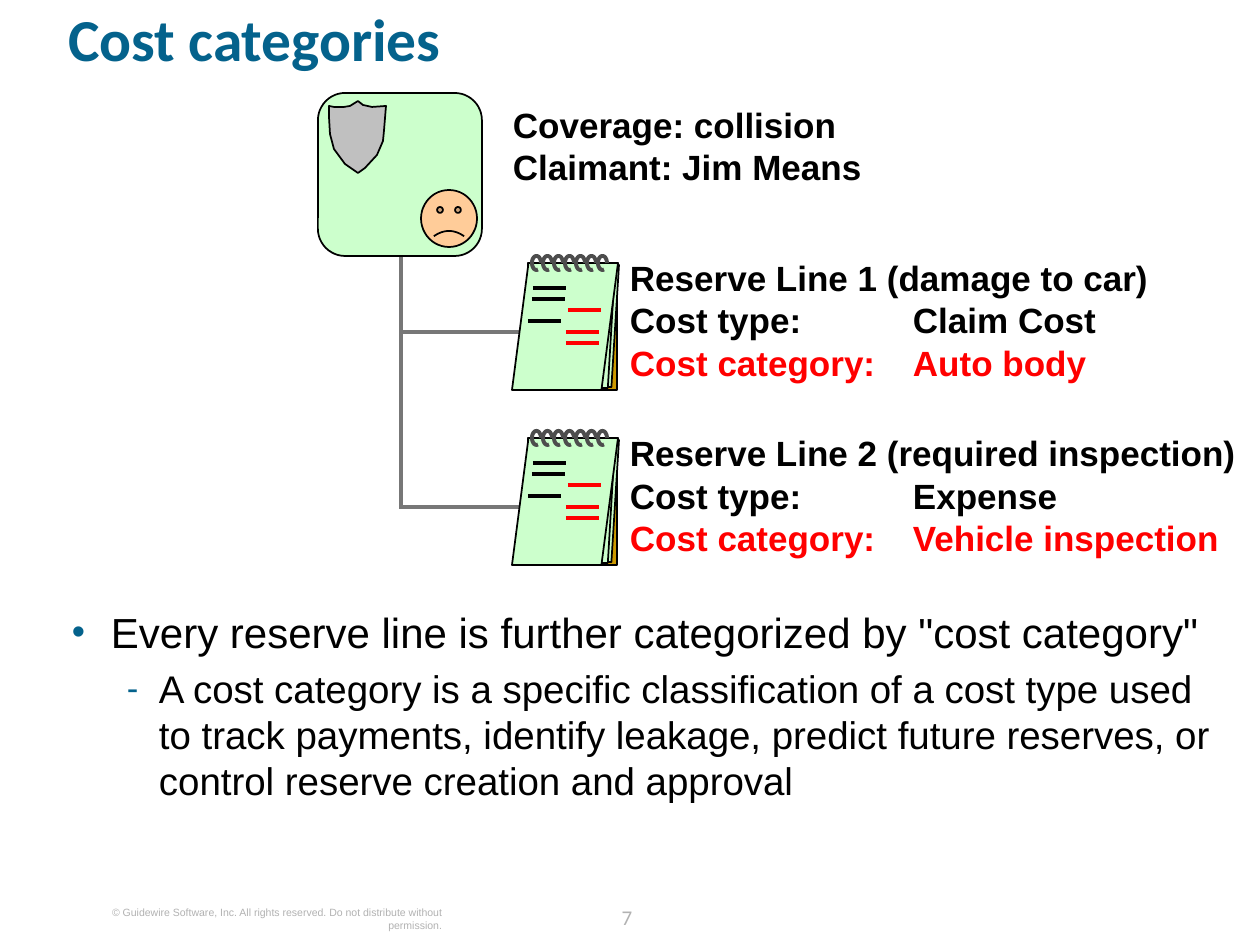
"""Build the cost categories slide."""
import math

import lxml.etree
import pptx
import pptx.dml.color
import pptx.enum.shapes
import pptx.enum.text
import pptx.oxml.ns
import pptx.util

SCALE = 914400 / 126
BLACK, RED, BLUE, GREY = "000000", "FF0000", "04628C", "B2B2B2"
GREEN, GOLD, SILVER, SKIN = "CCFFCC", "CC9900", "C0C0C0", "FFCC99"
TREE, WIRE = "777777", "4D4D4D"
PRESET = pptx.enum.shapes.MSO_SHAPE
ALIGN = pptx.enum.text.PP_ALIGN
LABEL = {"name": "Arial", "size": pptx.util.Pt(20), "bold": True}
TAB = 283
SHIELD = [(40, 80), (27, 71), (16, 56), (12, 41), (11, 24), (11, 13),
          (16, 14), (26, 14), (32, 13), (40, 8), (45, 12), (54, 14),
          (68, 13), (66, 38), (65, 48), (59, 62), (47, 75)]


def px(length):
    """Turn px into EMU."""
    return pptx.util.Emu(round(length * SCALE))


def rgb(value):
    """Turn a hex string into a colour."""
    return pptx.dml.color.RGBColor.from_string(value)


def assign(target, values):
    """Set each attribute named in a dict of format values."""
    for name, value in values.items():
        setattr(target, name, value)


def child(parent, tag, **attributes):
    """Append a drawing element to its parent."""
    element = lxml.etree.SubElement(parent, pptx.oxml.ns.qn(tag))
    for name, value in attributes.items():
        element.set(name, str(value))
    return element


def outline(part, color, width):
    """Give a part its line colour and width."""
    part.line.color.rgb = rgb(color)
    part.line.width = pptx.util.Pt(width)


def paint(part, fill, color=BLACK, width=1):
    """Give a shape its fill and outline without a shadow."""
    part.shadow.inherit = False
    if fill:
        part.fill.solid()
        part.fill.fore_color.rgb = rgb(fill)
    else:
        part.fill.background()
    outline(part, color, width)


def add_preset(shapes, preset, box, fill, bend=None):
    """Add a filled preset shape."""
    part = shapes.add_shape(preset, *map(px, box))
    if bend is not None:
        part.adjustments[0] = bend
    paint(part, fill)


def add_path(shapes, points, close, fill, color=BLACK, width=1):
    """Add an outline through px points."""
    corners = [(px(x), px(y)) for x, y in points]
    builder = shapes.build_freeform(*corners[0], scale=1.0)
    builder.add_line_segments(corners[1:], close=close)
    paint(builder.convert_to_shape(), fill, color, width)


def add_stroke(shapes, start, end, color):
    """Add a straight line without a shadow."""
    stroke = shapes.add_connector(pptx.enum.shapes.MSO_CONNECTOR.STRAIGHT,
                                  *map(px, start + end))
    outline(stroke, color, 2.25)
    child(stroke._element.spPr, "a:effectLst")


def set_frame(holder):
    """Clear the margins, wrap and anchor the text at the top."""
    frame = holder.text_frame
    margins = dict.fromkeys(("margin_left", "margin_top", "margin_right", "margin_bottom"), 0)
    assign(frame, {**margins, "word_wrap": True,
                   "auto_size": pptx.enum.text.MSO_AUTO_SIZE.NONE,
                   "vertical_anchor": pptx.enum.text.MSO_ANCHOR.TOP})
    return frame


def add_run(paragraph, text, color, font):
    """Add a formatted run."""
    run = paragraph.add_run()
    run.text = text
    assign(run.font, font)
    run.font.color.rgb = rgb(color)


def add_text(slide, box, lines, font, layout=None):
    """Add a text box of coloured lines with one tab stop."""
    paragraph = set_frame(slide.shapes.add_textbox(*map(px, box))).paragraphs[0]
    stops = child(paragraph._p.get_or_add_pPr(), "a:tabLst")
    child(stops, "a:tab", pos=px(TAB), algn="l")
    assign(paragraph, layout or {})
    for index, (text, color) in enumerate(lines):
        if index:
            paragraph.add_line_break()
        add_run(paragraph, text, color, font)


def place(holder, box):
    """Move a placeholder into its box."""
    assign(holder, dict(zip(("left", "top", "width", "height"), map(px, box))))
    return set_frame(holder)


def fill_title(holder, box):
    """Write the slide title."""
    paragraph = place(holder, box).paragraphs[0]
    assign(paragraph, {"alignment": ALIGN.LEFT, "line_spacing": 0.8})
    add_run(paragraph, "Cost categories", BLUE,
            {"name": "Calibri", "size": pptx.util.Pt(34), "bold": True})


def fill_body(holder, box):
    """Write the two-level list."""
    frame = place(holder, box)
    points = [
        ("Every reserve line is further categorized by \"cost category\"", "•", 39, 39, 24, 0),
        ("A cost category is a specific classification of a cost type used to track "
         "payments, identify leakage, predict future reserves, or control reserve "
         "creation and approval", "-", 87, 32, 22, 5)]
    for level, (text, mark, margin, hang, size, before) in enumerate(points):
        paragraph = frame.add_paragraph() if level else frame.paragraphs[0]
        properties = paragraph._p.get_or_add_pPr()
        properties.set("marL", str(px(margin)))
        properties.set("indent", str(-px(hang)))
        child(child(properties, "a:buClr"), "a:srgbClr", val=BLUE)
        child(properties, "a:buSzPct", val=90000)
        child(properties, "a:buFont", typeface="Arial")
        child(properties, "a:buChar", char=mark)
        assign(paragraph, {"level": level, "space_before": pptx.util.Pt(before)})
        add_run(paragraph, text, BLACK, {"name": "Arial", "size": pptx.util.Pt(size)})


def add_tree(slide, left, top, branches):
    """Join the exposure to its reserve lines."""
    add_stroke(slide.shapes, (left, branches[-1] + 2), (left, top), TREE)
    for level in branches:
        add_stroke(slide.shapes, (left + 158, level), (left, level), TREE)


def add_exposure(slide, left, top):
    """Draw the exposure with its shield and claimant."""
    shapes = slide.shapes.add_group_shape().shapes
    add_preset(shapes, PRESET.ROUNDED_RECTANGLE, (left, top, 164, 163), GREEN, 0.167)
    add_path(shapes, [(left + x, top + y) for x, y in SHIELD], True, SILVER)
    add_preset(shapes, PRESET.SMILEY_FACE, (left + 103, top + 97, 56, 57), SKIN, -0.047)
    add_text(slide, (left + 195, top + 10, 481, 84),
             [("Coverage: collision", BLACK), ("Claimant: Jim Means", BLACK)], LABEL)


def add_reserve_line(slide, left, top, heading, cost_type, category):
    """Draw a notepad with its reserve line text."""
    shapes = slide.shapes.add_group_shape().shapes
    add_preset(shapes, PRESET.RECTANGLE, (left + 16, top + 7, 89, 127), GOLD)
    for x, y, width, height, slant in [(10, 9, 97, 122, 0.078), (11, 10, 92, 122, 0.078),
                                       (0, 7, 106, 127, 0.156)]:
        add_preset(shapes, PRESET.PARALLELOGRAM, (left + x, top + y, width, height),
                   GREEN, slant)
    turns = [math.radians(angle) for angle in range(0, 291, 10)]
    for ring in range(7):
        center = left + 24.5 + 11 * ring
        add_path(shapes, [(center + 4.5 * math.cos(turn), top + 7 - 7 * math.sin(turn))
                          for turn in turns], False, None, WIRE, 2.25)
    for row, (x, color) in enumerate([(21, BLACK), (20, BLACK), (56, RED),
                                      (16, BLACK), (54, RED), (54, RED)]):
        level = top + 32 + 11 * row
        add_stroke(shapes, (left + x, level), (left + x + 33, level), color)
    add_text(slide, (left + 118, top + 1, 630, 126),
             [(heading, BLACK), (f"Cost type: \t{cost_type}", BLACK),
              (f"Cost category: \t{category}", RED)], LABEL)


def add_footer(slide, top):
    """Write the copyright line and the page number."""
    add_text(slide, (77, top + 8, 365, 26),
             [("© Guidewire Software, Inc. All rights reserved. "
               "Do not distribute without permission.", GREY)],
             {"name": "Arial", "size": pptx.util.Pt(6)}, {"alignment": ALIGN.RIGHT})
    add_text(slide, (591, top, 72, 32), [("7", GREY)],
             {"name": "Calibri", "size": pptx.util.Pt(12)},
             {"alignment": ALIGN.CENTER, "line_spacing": pptx.util.Pt(18)})


def main():
    """Build and save the slide."""
    deck = pptx.Presentation()
    assign(deck, {"slide_width": px(1260), "slide_height": px(945)})
    slide = deck.slides.add_slide(deck.slide_layouts[1])
    fill_title(slide.shapes.title, (68, 16, 1147, 102))
    fill_body(slide.placeholders[1], (72, 606, 1147, 214))
    add_tree(slide, 401, 202, (332, 507))
    add_exposure(slide, 318, 93)
    add_reserve_line(slide, 512, 256, "Reserve Line 1 (damage to car)",
                     "Claim Cost", "Auto body")
    add_reserve_line(slide, 512, 431, "Reserve Line 2 (required inspection)",
                     "Expense", "Vehicle inspection")
    add_footer(slide, 898)
    deck.save("out.pptx")


if __name__ == "__main__":
    main()
